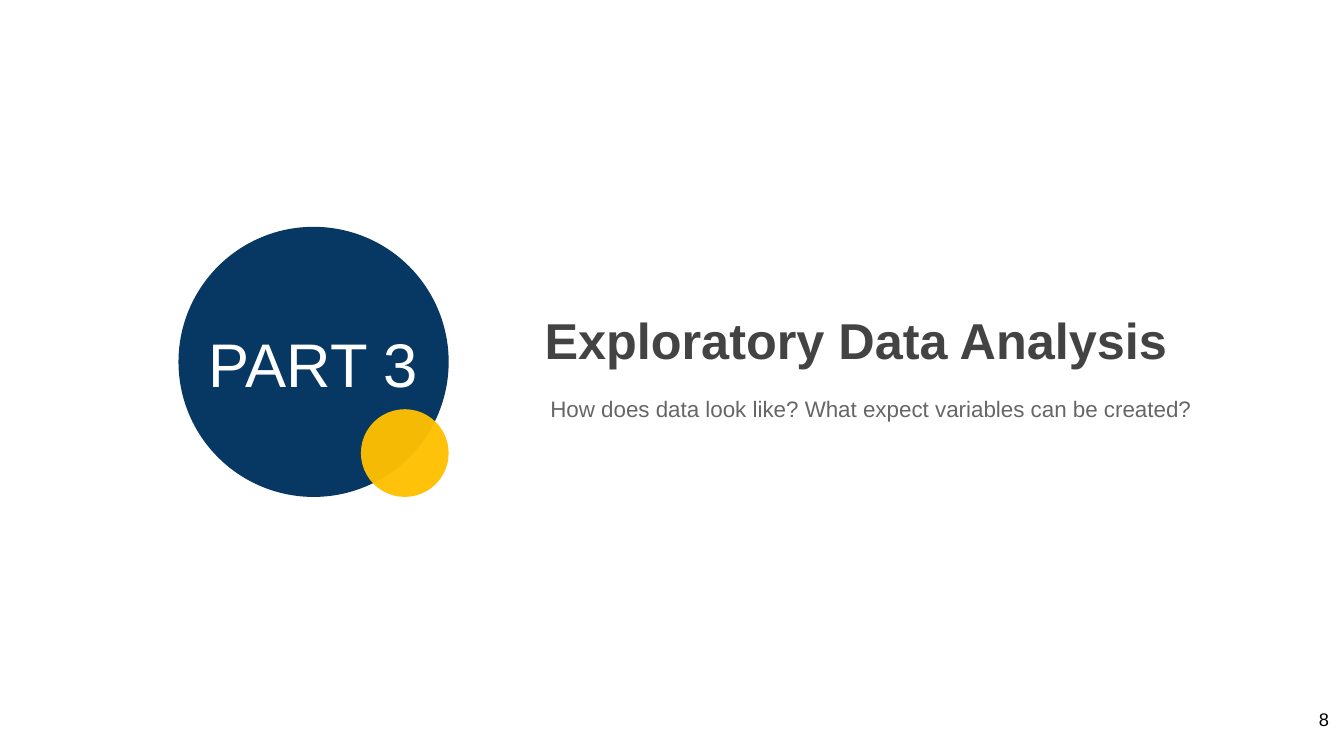
import pptx
import pptx.util
import pptx.dml.color
import pptx.enum.shapes
import pptx.enum.text
import pptx.oxml.ns
from lxml import etree

Inches = pptx.util.Inches
ALIGN = pptx.enum.text.PP_ALIGN

COLORS = {
    "navy": "073763",
    "gold": "FFC000",
    "white": "FFFFFF",
    "heading": "434343",
    "body": "666666",
    "black": "000000",
}


def rgb(name):
    return pptx.dml.color.RGBColor.from_string(COLORS[name])


def add_text(slide, text, left, top, width, height, *, size, color,
             bold=False, align=ALIGN.LEFT):
    box = slide.shapes.add_textbox(
        Inches(left), Inches(top), Inches(width), Inches(height))
    frame = box.text_frame
    frame.word_wrap = True
    frame.vertical_anchor = pptx.enum.text.MSO_ANCHOR.TOP
    frame.margin_left = frame.margin_right = Inches(0.1)
    frame.margin_top = frame.margin_bottom = Inches(0.1)
    paragraph = frame.paragraphs[0]
    paragraph.alignment = align
    run = paragraph.add_run()
    run.text = text
    run.font.name = "Arial"
    run.font.size = pptx.util.Pt(size)
    run.font.bold = bold
    run.font.color.rgb = rgb(color)


def add_circle(slide, left, top, diameter, color, opacity=100):
    circle = slide.shapes.add_shape(
        pptx.enum.shapes.MSO_SHAPE.OVAL,
        Inches(left), Inches(top), Inches(diameter), Inches(diameter))
    circle.shadow.inherit = False
    circle.line.fill.background()
    circle.fill.solid()
    circle.fill.fore_color.rgb = rgb(color)
    if opacity < 100:
        qn = pptx.oxml.ns.qn
        fill_color = circle.fill._xPr.find(qn("a:solidFill"))[0]
        etree.SubElement(fill_color, qn("a:alpha"), val=str(opacity * 1000))


def add_badge(slide, left, top, diameter, label):
    """Large circle with a small accent at its lower right and a label."""
    accent = 0.87
    offset = diameter - accent
    add_circle(slide, left, top, diameter, "navy")
    add_circle(slide, left + offset, top + offset, accent, "gold", opacity=96)
    label_width = 4.33
    add_text(slide, label, left + (diameter - label_width) / 2, top + 0.88,
             label_width, 0.93, size=44, color="white", align=ALIGN.CENTER)


def add_heading(slide, left, top, title, question):
    """Section title with the guiding question below it."""
    add_text(slide, title, left, top, 6.44, 0.87,
             size=36, color="heading", bold=True, align=ALIGN.CENTER)
    add_text(slide, question, left + 0.09, top + 0.85, 6.97, 1.2,
             size=16, color="body")


def add_page_number(slide, left, top, number):
    add_text(slide, str(number), left, top, 0.8, 0.57,
             size=13, color="black", align=ALIGN.RIGHT)


def main():
    presentation = pptx.Presentation()
    presentation.slide_width = Inches(13.33)
    presentation.slide_height = Inches(7.5)
    slide = presentation.slides.add_slide(presentation.slide_layouts[6])
    slide.background.fill.solid()
    slide.background.fill.fore_color.rgb = rgb("white")

    add_badge(slide, 1.77, 2.25, 2.68, "PART 3")
    add_heading(slide, 5.27, 2.97, "Exploratory Data Analysis",
                "How does data look like? What expect variables can be created?")
    add_page_number(slide, 12.48, 6.93, 8)

    presentation.save("out.pptx")


if __name__ == "__main__":
    main()
